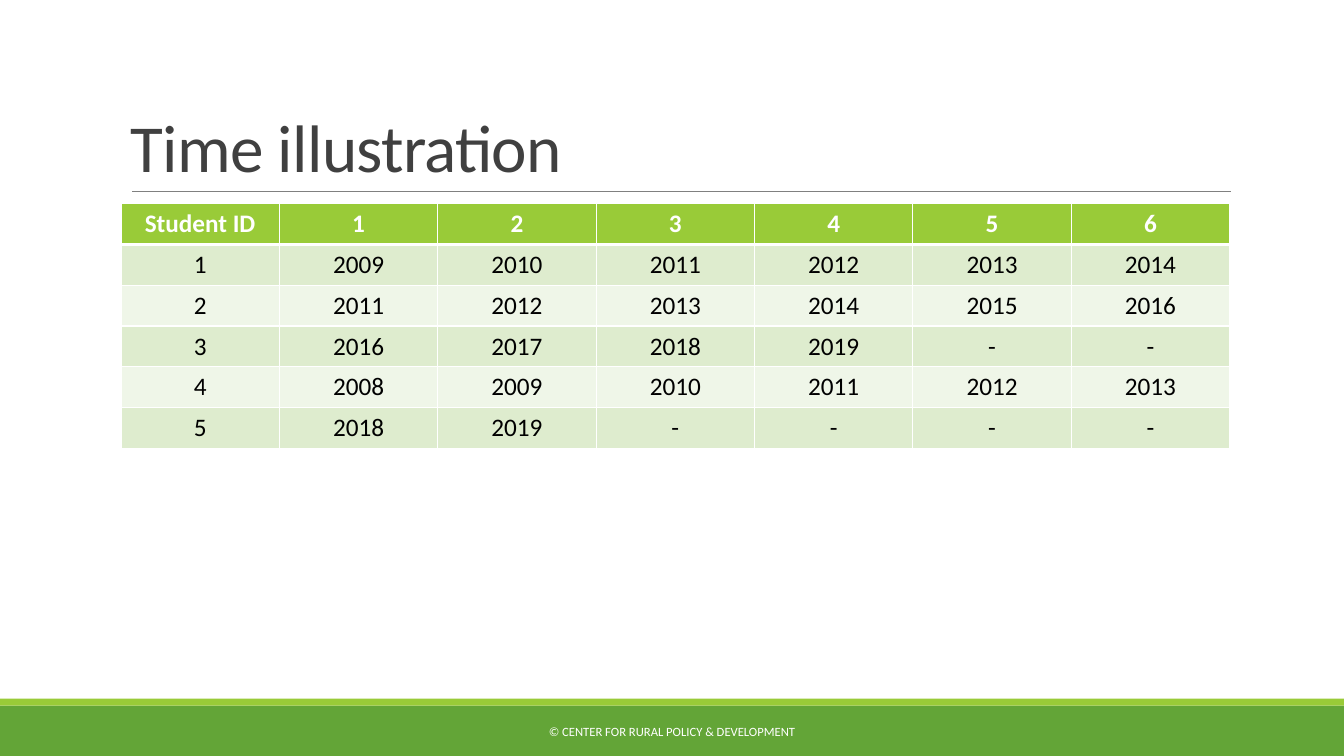
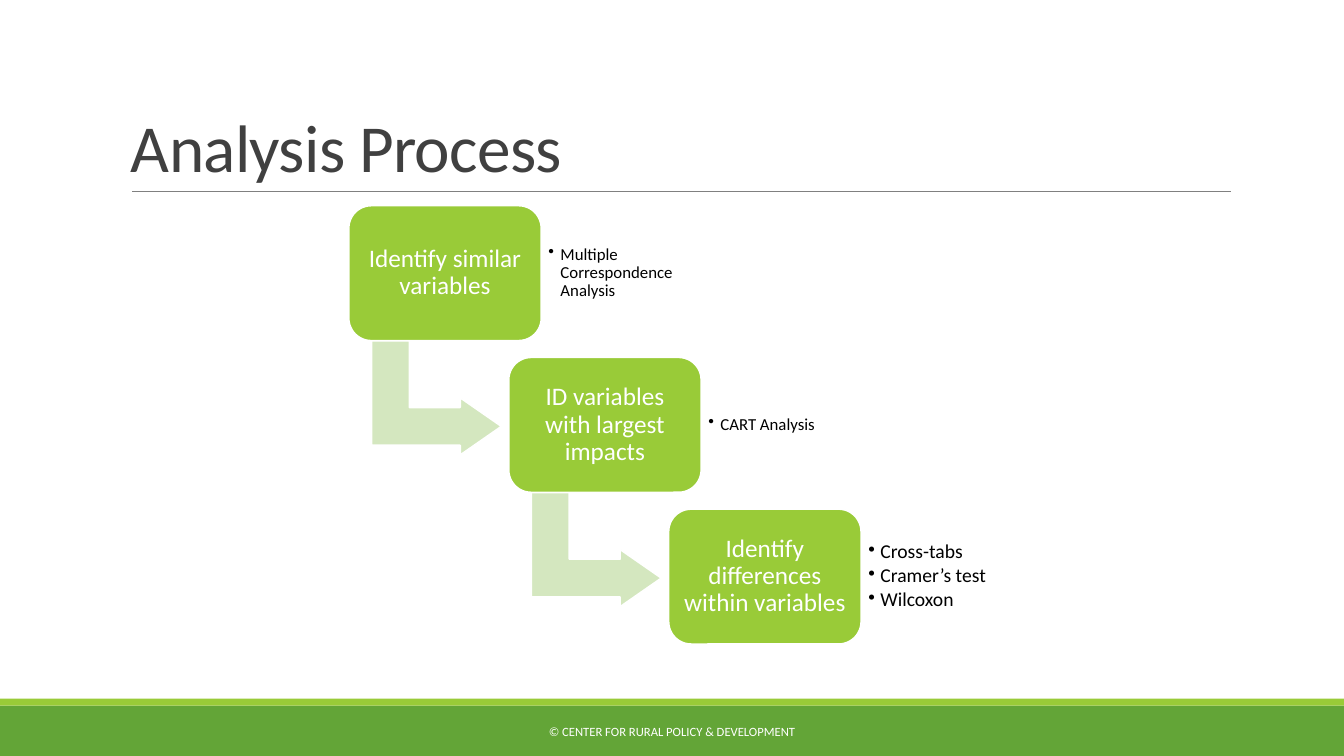
import lxml.etree
import pptx
import pptx.dml.color
import pptx.enum.shapes
import pptx.enum.text
import pptx.oxml.ns
import pptx.util

WIDTH, HEIGHT = pptx.util.Inches(13.33), pptx.util.Inches(7.5)
SHAPE = pptx.enum.shapes.MSO_SHAPE
ANCHOR = pptx.enum.text.MSO_ANCHOR
ALIGN = pptx.enum.text.PP_ALIGN
qn = pptx.oxml.ns.qn

COLORS = {
    "band": "63A537", "accent": "99CB38", "rule": "808080", "title": "404040",
    "white": "FFFFFF", "black": "000000", "arrow": "D4E7BF",
    "odd row": "DEECCE", "even row": "EFF6E8",
}

# Text styles: font values, paragraph values and the colour key
STYLES = {
    "title": ({"size": 48}, {"line_spacing": 0.85}, "title"),
    "footer": ({"size": 9}, {"alignment": ALIGN.CENTER}, "white"),
    "header": ({"size": 18, "bold": True}, {"alignment": ALIGN.CENTER}, "white"),
    "cell": ({"size": 18, "bold": False}, {"alignment": ALIGN.CENTER}, "black"),
    "step": ({"size": 18}, {"alignment": ALIGN.CENTER, "line_spacing": 0.9}, "white"),
    "small bullet": ({"size": 12}, {"line_spacing": 0.9, "space_after": 2}, "black"),
    "bullet": ({"size": 14}, {"line_spacing": 0.9, "space_after": 2}, "black"),
}

# Shared places, as left, top, width and height in percent of the slide
MARGIN, CONTENT = 9, 82.5
TITLE_AREA = (MARGIN, 4.13, CONTENT, 21.2)
TABLE_AREA = (MARGIN, 26.93, CONTENT, 32.4)
FOOTER_AREA = (30.23, 94.13, 39.53, 5.33)
BANDS = {"band": (0, 93.33, 100, 6.67), "accent": (0, 92.4, 100, 0.93)}
RULE_LEFT, RULE_RIGHT, RULE_TOP = 9.83, 91.58, 25.33

# Staircase of steps: origin, pitch and step size in percent of the slide
STAIR_LEFT, STAIR_TOP = 25.95, 27.2
PITCH_X, PITCH_Y = 11.9, 20.07
STEP_WIDTH, STEP_HEIGHT = 14.33, 17.87
INSET = 0.07

YEARS = [
    ["Student ID", "1", "2", "3", "4", "5", "6"],
    ["1", "2009", "2010", "2011", "2012", "2013", "2014"],
    ["2", "2011", "2012", "2013", "2014", "2015", "2016"],
    ["3", "2016", "2017", "2018", "2019", "-", "-"],
    ["4", "2008", "2009", "2010", "2011", "2012", "2013"],
    ["5", "2018", "2019", "-", "-", "-", "-"],
]
STEPS = [
    ("Identify similar variables", "small bullet", ["Multiple Correspondence Analysis"]),
    ("ID variables with largest impacts", "small bullet", ["CART Analysis"]),
    ("Identify differences within variables", "bullet",
     ["Cross-tabs", "Cramer’s test", "Wilcoxon"]),
]


def across(share):
    return round(WIDTH * share / 100)


def down(share):
    return round(HEIGHT * share / 100)


def place(left, top, width, height):
    return across(left), down(top), across(width), down(height)


def color(key):
    return pptx.dml.color.RGBColor.from_string(COLORS[key])


def apply(target, values):
    for name, value in values.items():
        setattr(target, name, value)


# Text
def write(frame, lines, style, anchor=ANCHOR.MIDDLE, inset=None, bullets=False):
    font_values, para_values, color_key = STYLES[style]
    frame.word_wrap = True
    frame.vertical_anchor = anchor
    if inset is not None:
        sides = ("left", "top", "right", "bottom")
        apply(frame, {f"margin_{side}": pptx.util.Inches(inset) for side in sides})
    for index, line in enumerate(lines):
        para = frame.paragraphs[0] if index == 0 else frame.add_paragraph()
        if bullets:
            add_bullet(para)
        for name, value in para_values.items():
            setattr(para, name, pptx.util.Pt(value) if name == "space_after" else value)
        span = para.add_run()
        span.text = line
        apply(span.font, {**font_values, "name": "Calibri",
                          "size": pptx.util.Pt(font_values["size"])})
        span.font.color.rgb = color(color_key)


def add_bullet(para):
    indent = pptx.util.Inches(0.12)
    properties = para._p.get_or_add_pPr()
    properties.set("marL", str(indent))
    properties.set("indent", str(-indent))
    lxml.etree.SubElement(properties, qn("a:buChar")).set("char", "•")


def add_text(page, area, lines, style, **options):
    box = page.shapes.add_textbox(*place(*area))
    write(box.text_frame, lines, style, **options)
    return box


# Shapes and lines
def add_shape(page, kind, area, fill, outline=None):
    shape = page.shapes.add_shape(kind, *place(*area))
    shape.shadow.inherit = False
    shape.fill.solid()
    shape.fill.fore_color.rgb = color(fill)
    if outline:
        shape.line.color.rgb = color(outline)
        shape.line.width = pptx.util.Pt(1.25)
    else:
        shape.line.fill.background()
    return shape


def add_rule(page):
    rule = page.shapes.add_connector(
        pptx.enum.shapes.MSO_CONNECTOR.STRAIGHT,
        across(RULE_LEFT), down(RULE_TOP), across(RULE_RIGHT), down(RULE_TOP))
    rule.line.color.rgb = color("rule")
    rule.line.width = pptx.util.Pt(0.5)
    lxml.etree.SubElement(rule._element.spPr, qn("a:effectLst"))


# Page with the shared bands, rule, title and footer
def add_page(deck, title):
    page = deck.slides.add_slide(deck.slide_layouts[6])
    for fill, area in BANDS.items():
        add_shape(page, SHAPE.RECTANGLE, area, fill)
    add_rule(page)
    box = add_text(page, TITLE_AREA, [title], "title", anchor=ANCHOR.BOTTOM)
    span = box.text_frame.paragraphs[0].runs[0]
    span._r.get_or_add_rPr().set("spc", "-50")
    add_text(page, FOOTER_AREA, ["© CENTER FOR RURAL POLICY & DEVELOPMENT"], "footer")
    return page


# Table
def add_borders(cell, row):
    widths = {"L": 1, "R": 1, "T": 3 if row == 1 else 1, "B": 3 if row == 0 else 1}
    properties = cell._tc.get_or_add_tcPr()
    for side, width in widths.items():
        border = lxml.etree.SubElement(properties, qn(f"a:ln{side}"))
        border.set("w", str(pptx.util.Pt(width)))
        fill = lxml.etree.SubElement(border, qn("a:solidFill"))
        lxml.etree.SubElement(fill, qn("a:srgbClr")).set("val", COLORS["white"])


def add_table(page, area, rows):
    table = page.shapes.add_table(len(rows), len(rows[0]), *place(*area)).table
    for row, texts in enumerate(rows):
        for column, text in enumerate(texts):
            cell = table.cell(row, column)
            add_borders(cell, row)
            cell.fill.solid()
            fill = "accent" if row == 0 else "odd row" if row % 2 else "even row"
            cell.fill.fore_color.rgb = color(fill)
            write(cell.text_frame, [text], "cell" if row else "header")
            cell.vertical_anchor = ANCHOR.MIDDLE if row else ANCHOR.BOTTOM


# Staircase
def add_step(page, index, label, bullet_style, bullets):
    left, top = STAIR_LEFT + index * PITCH_X, STAIR_TOP + index * PITCH_Y
    if index < len(STEPS) - 1:
        arrow = add_shape(page, SHAPE.BENT_UP_ARROW,
                          (left + 2.25, top + 16.8, 8.55, 17.2), "arrow", "white")
        arrow.rotation = 90
        for number, value in enumerate((0.33, 0.25, 0.36)):
            arrow.adjustments[number] = value
    step = add_shape(page, SHAPE.ROUNDED_RECTANGLE,
                     (left, top, STEP_WIDTH, STEP_HEIGHT), "accent", "white")
    write(step.text_frame, [label], "step", inset=INSET)
    add_text(page, (left + STEP_WIDTH, top + 1.73, 10.42, 14.4), bullets,
             bullet_style, inset=INSET, bullets=True)


def main():
    deck = pptx.Presentation()
    apply(deck, {"slide_width": WIDTH, "slide_height": HEIGHT})

    add_table(add_page(deck, "Time illustration"), TABLE_AREA, YEARS)

    process_page = add_page(deck, "Analysis Process")
    for index, step in enumerate(STEPS):
        add_step(process_page, index, *step)

    deck.save("out.pptx")


if __name__ == "__main__":
    main()
